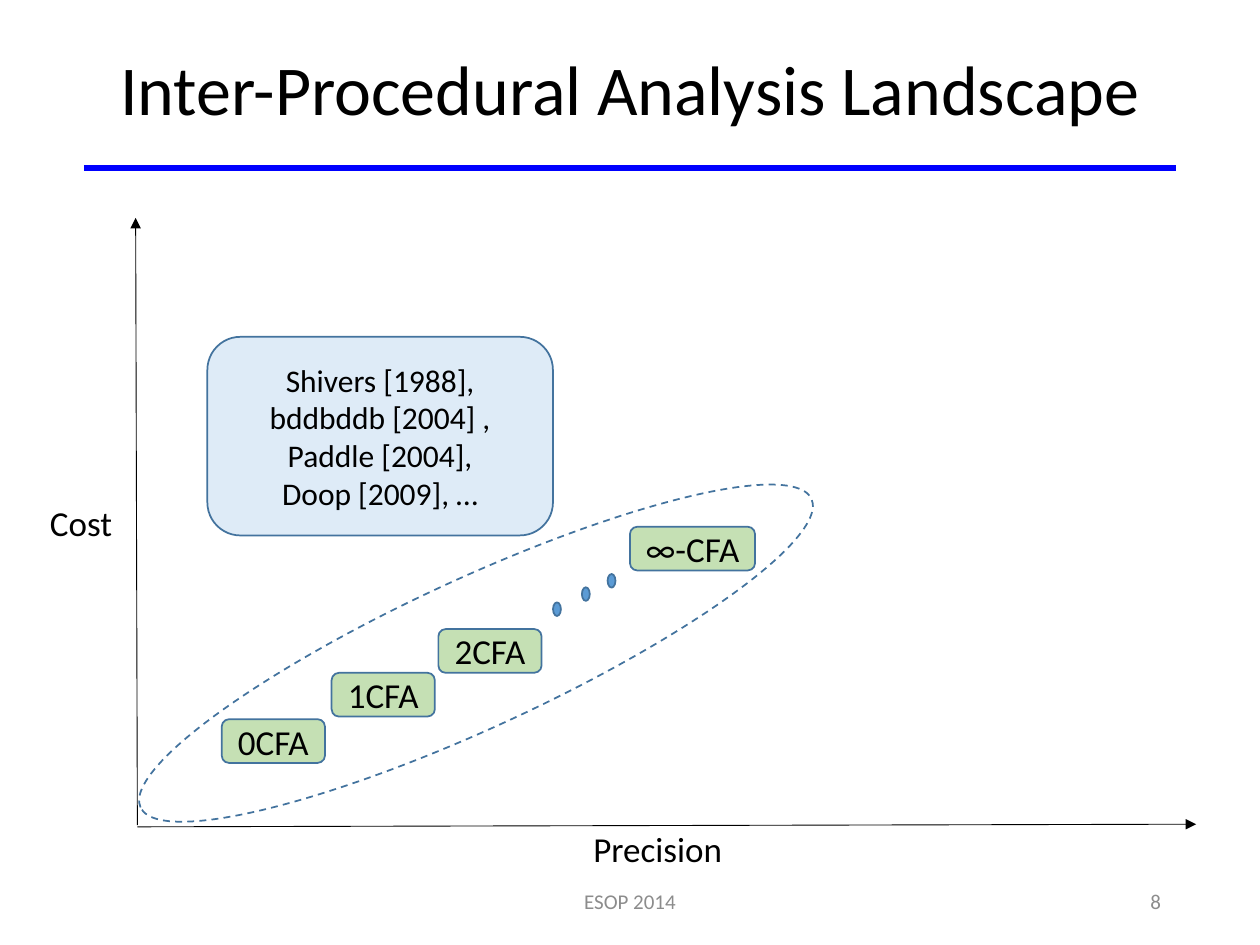
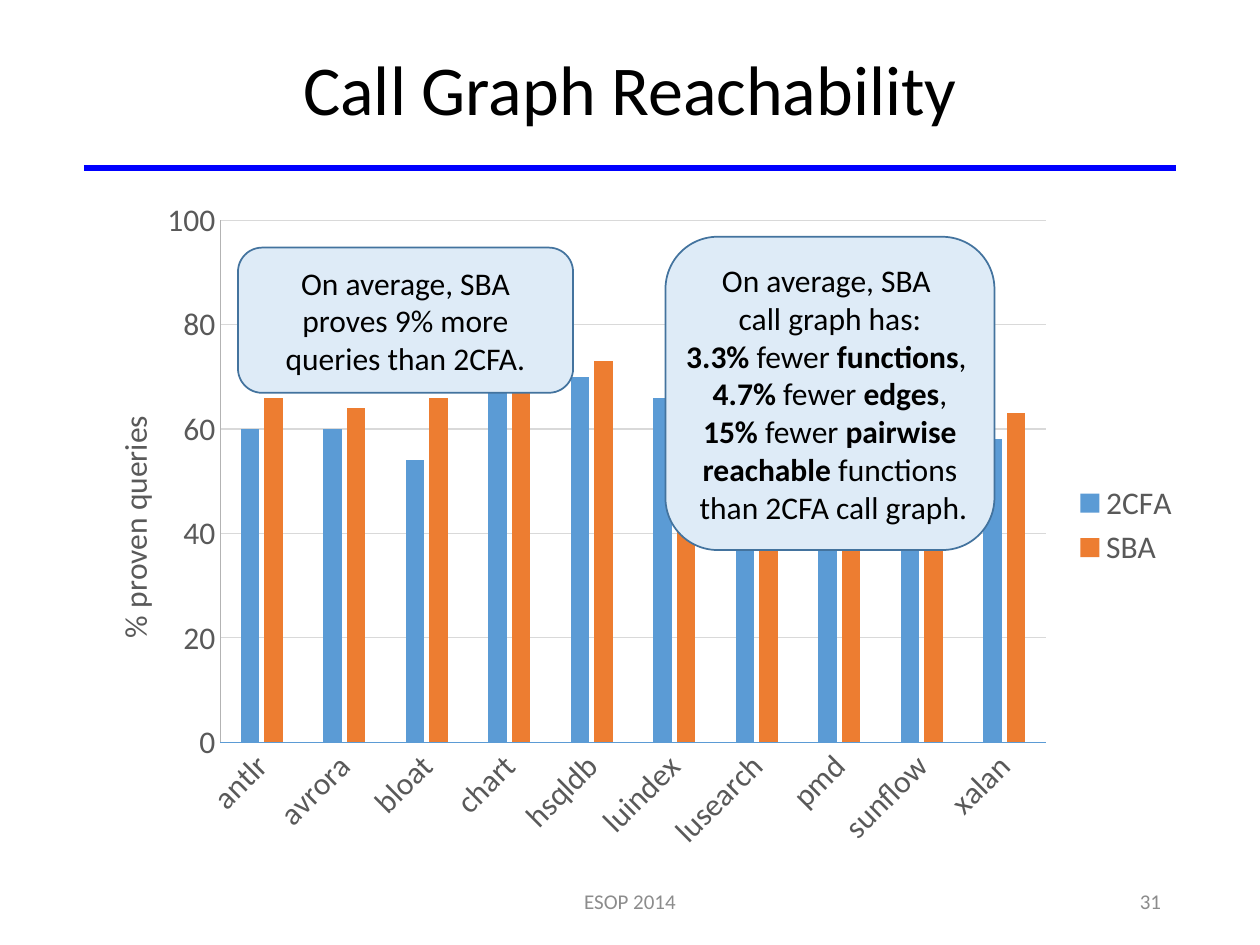
from lxml import etree
from pptx import Presentation
from pptx.chart.data import CategoryChartData
from pptx.dml.color import RGBColor
from pptx.enum.chart import XL_CHART_TYPE, XL_LEGEND_POSITION as LEGEND, XL_TICK_MARK as TICK
from pptx.enum.dml import MSO_LINE
from pptx.enum.shapes import MSO_CONNECTOR, MSO_SHAPE as SHAPE
from pptx.enum.text import MSO_ANCHOR as ANCHOR, MSO_AUTO_SIZE, PP_ALIGN as ALIGN
from pptx.oxml import parse_xml
from pptx.oxml.ns import nsdecls, qn
from pptx.util import Pt

FONT = "Calibri"
BLACK, RULE, MUTED = "000000", "0000FF", "8C8C8C"
BLUE, ORANGE, OUTLINE = "5B9BD5", "ED7D31", "43739E"
PALE_BLUE, PALE_GREEN = "DEEBF7", "C5E0B4"
CHART_TEXT, GRID, VALUE_LINE = "595959", "D9D9D9", "B3B3B3"


def rgb(color):
    return RGBColor.from_string(color)


def box(*lengths):
    return [Pt(n) for n in lengths]


def set_font(font, size, color=BLACK, bold=False):
    for name, value in {"name": FONT, "size": Pt(size), "bold": bold}.items():
        setattr(font, name, value)
    font.color.rgb = rgb(color)


def set_line(line, color, width):
    line.color.rgb = rgb(color)
    line.width = Pt(width)


def write(tf, lines, size, color=BLACK, align=ALIGN.CENTER, **frame):
    """Write one paragraph per line; text between ** marks is bold."""
    settings = {"word_wrap": True, "vertical_anchor": ANCHOR.MIDDLE, **frame}
    for name, value in settings.items():
        setattr(tf, name, value)
    for i, line in enumerate(lines):
        p = tf.add_paragraph() if i else tf.paragraphs[0]
        p.alignment = align
        for j, part in enumerate(line.split("**")):
            if part:
                r = p.add_run()
                r.text = part
                set_font(r.font, size, color, bold=j % 2 == 1)


def add_text(s, place, text, size, **options):
    sp = s.shapes.add_textbox(*box(*place))
    write(sp.text_frame, [text], size, **options)


def add_figure(s, kind, place, fill=None):
    sp = s.shapes.add_shape(kind, *box(*place))
    sp.shadow.inherit = False
    if fill:
        sp.fill.solid()
        sp.fill.fore_color.rgb = rgb(fill)
    else:
        sp.fill.background()
    set_line(sp.line, OUTLINE, 1)
    return sp


def add_label_box(s, place, fill, lines, size, wrap=True):
    sp = add_figure(s, SHAPE.ROUNDED_RECTANGLE, place, fill)
    write(sp.text_frame, lines, size, word_wrap=wrap)


def add_line(s, ends, color, width, arrow=False):
    sp = s.shapes.add_connector(MSO_CONNECTOR.STRAIGHT, *box(*ends))
    set_line(sp.line, color, width)
    if arrow:
        tail = etree.SubElement(sp.line._get_or_add_ln(), qn("a:tailEnd"))
        tail.set("type", "triangle")
    etree.SubElement(sp._element.spPr, qn("a:effectLst"))


def add_titled_slide(prs, title, number):
    s = prs.slides.add_slide(prs.slide_layouts[5])
    sp = s.shapes.title
    sp.left, sp.top, sp.width, sp.height = box(49.5, 11.5, 621, 83)
    write(sp.text_frame, [title], 40, auto_size=MSO_AUTO_SIZE.NONE)
    sp.text_frame.paragraphs[0].line_spacing = 0.9
    add_line(s, (48, 96, 672, 96), RULE, 3)
    add_text(s, (238.5, 500.5, 243, 28.75), "ESOP 2014", 12, color=MUTED)
    add_text(s, (508.5, 500.5, 162, 28.75), str(number), 12,
             color=MUTED, align=ALIGN.RIGHT)
    return s


def manual_layout(x, y, w=None, h=None):
    """Layout in fractions of the chart; with a size it is the inner plot area."""
    values = {"xMode": "edge", "yMode": "edge", "x": x, "y": y}
    if w:
        values = {"layoutTarget": "inner", **values, "w": w, "h": h}
    items = "".join(f'<c:{k} val="{v}"/>' for k, v in values.items())
    return parse_xml(f'<c:layout {nsdecls("c")}><c:manualLayout>{items}'
                     '</c:manualLayout></c:layout>')


def place_part(part, layout, after=None):
    for old in part.findall(qn("c:layout")):
        part.remove(old)
    if after is None:
        part.insert(0, layout)
    else:
        part.find(qn(after)).addnext(layout)


def style_axis(axis, color):
    axis.major_tick_mark = axis.minor_tick_mark = TICK.NONE
    set_font(axis.tick_labels.font, 18, CHART_TEXT)
    set_line(axis.format.line, color, 0.75)


def add_query_chart(s):
    data = CategoryChartData()
    data.categories = ["antlr", "avrora", "bloat", "chart", "hsqldb",
                       "luindex", "lusearch", "pmd", "sunflow", "xalan"]
    data.add_series("2CFA", [60, 60, 54, 74, 70, 66, 64, 47, 74, 58])
    data.add_series("SBA", [66, 64, 66, 81, 73, 70, 68, 52, 79, 63])
    chart = s.shapes.add_chart(XL_CHART_TYPE.COLUMN_CLUSTERED,
                               *box(35.5, 106.5, 646, 387.5), data).chart
    set_font(chart.font, 18)
    chart.has_title = False

    plot = chart.plots[0]
    plot.gap_width, plot.overlap, plot.vary_by_categories = 219, -27, False
    for series, color in zip(plot.series, (BLUE, ORANGE)):
        series.format.fill.solid()
        series.format.fill.fore_color.rgb = rgb(color)

    categories, values = chart.category_axis, chart.value_axis
    style_axis(categories, BLUE)
    style_axis(values, VALUE_LINE)
    categories._element.find(qn("c:txPr")).find(qn("a:bodyPr")).set("rot", "-2700000")
    for name, value in {"minimum_scale": 0, "maximum_scale": 100, "major_unit": 20}.items():
        setattr(values, name, value)
    set_line(values.major_gridlines.format.line, GRID, 0.75)

    title = values.axis_title
    title.text_frame.text = "% proven queries"
    set_font(title.text_frame.paragraphs[0].runs[0].font, 18, CHART_TEXT)
    title.text_frame._txBody.find(qn("a:bodyPr")).set("rot", "-5400000")
    place_part(title._element, manual_layout(0.04, 0.33), after="c:tx")
    place_part(chart._chartSpace.chart.plotArea, manual_layout(0.14, 0.05, 0.73, 0.77))

    chart.has_legend = True
    chart.legend.position = LEGEND.RIGHT
    chart.legend.include_in_layout = False
    set_font(chart.legend.font, 18, CHART_TEXT)


def build_landscape(prs):
    s = add_titled_slide(prs, "Inter-Procedural Analysis Landscape", 8)
    add_label_box(s, (118.5, 192.5, 197.5, 113.5), PALE_BLUE,
                  ["Shivers [1988],", "bddbddb [2004] ,", "Paddle [2004],",
                   "Doop [2009], …"], 18, wrap=False)

    add_line(s, (78.5, 471.5, 77.5, 124.5), BLACK, 0.5, arrow=True)
    add_line(s, (78.5, 472.5, 683.5, 471), BLACK, 0.5, arrow=True)
    for place, text in (((21.5, 283, 56, 31.5), "Cost"),
                        ((332, 469.5, 91.5, 31.5), "Precision")):
        add_text(s, place, text, 20, align=ALIGN.LEFT, vertical_anchor=ANCHOR.TOP)

    for x, y, width, text in ((126.7, 411, 59, "0CFA"), (189.5, 384.5, 59, "1CFA"),
                              (250.5, 359.5, 59, "2CFA"), (360, 301, 71.5, "∞-CFA")):
        add_label_box(s, (x, y, width, 25), PALE_GREEN, [text], 20)
    for x, y in ((316, 344.2), (332.5, 335.6), (347.2, 328)):
        add_figure(s, SHAPE.OVAL, (x, y, 4.5, 7.8), BLUE)

    cfa_family = add_figure(s, SHAPE.OVAL, (61, 330.5, 422, 85.5))
    cfa_family.rotation = 335.3
    cfa_family.line.dash_style = MSO_LINE.DASH


def build_reachability(prs):
    s = add_titled_slide(prs, "Call Graph Reachability", 31)
    add_query_chart(s)
    add_label_box(s, (380.3, 135.3, 188, 179), PALE_BLUE,
                  ["On average, SBA ", "call graph has:",
                   "**3.3% **fewer **functions**, ", "**4.7% **fewer **edges**,",
                   "** 15% **fewer **pairwise **", "**reachable **functions",
                   " than 2CFA call graph."], 18, wrap=False)
    add_label_box(s, (136, 141.5, 191.5, 83), PALE_BLUE,
                  ["On average, SBA proves 9% more queries than 2CFA."], 18)


def main():
    prs = Presentation()
    prs.slide_width, prs.slide_height = box(720, 540)
    build_landscape(prs)
    build_reachability(prs)
    prs.save("out.pptx")


if __name__ == "__main__":
    main()
